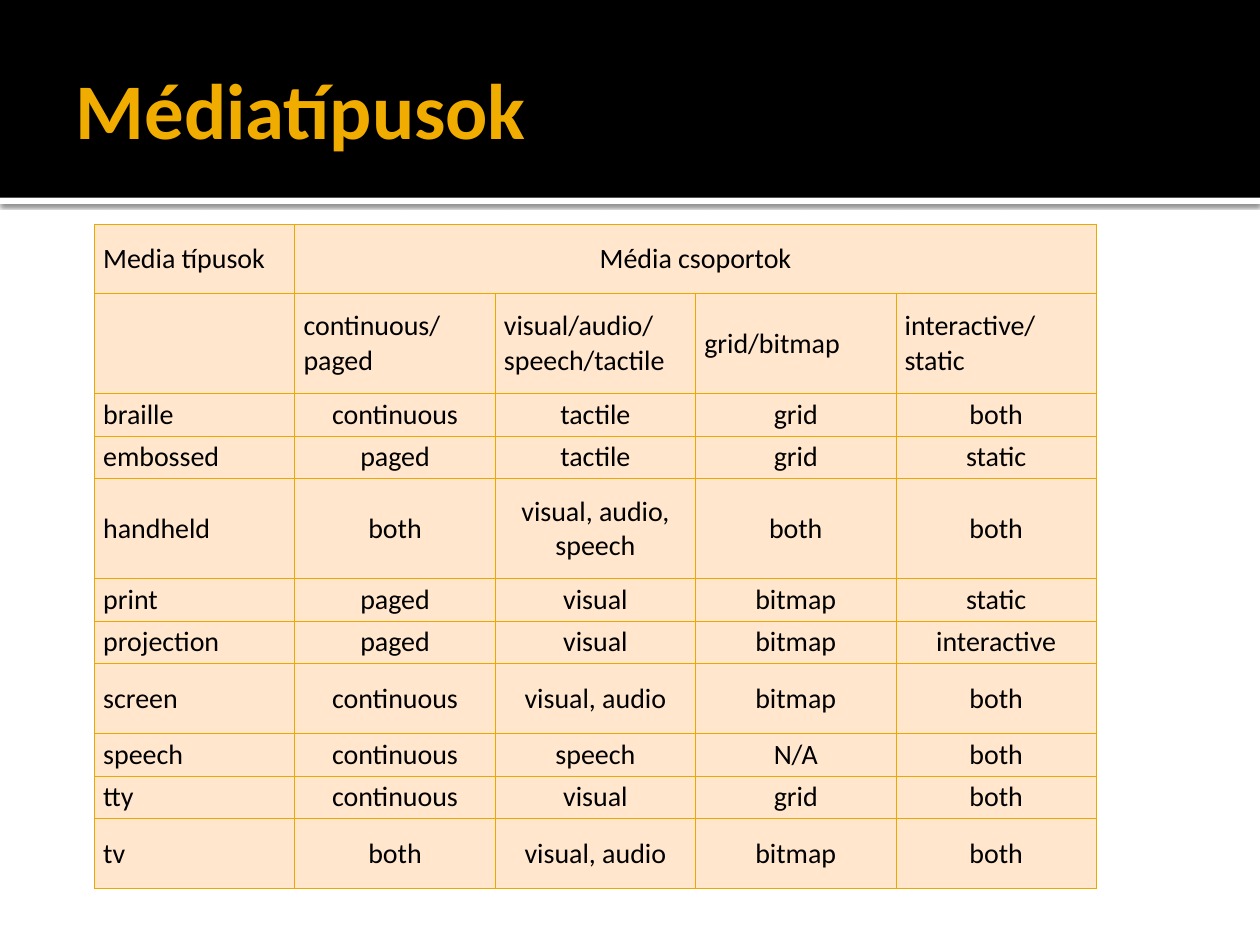
from dataclasses import dataclass

from lxml.etree import SubElement
from pptx import Presentation
from pptx.dml.color import RGBColor
from pptx.enum.shapes import MSO_SHAPE
from pptx.enum.text import MSO_ANCHOR, PP_ALIGN
from pptx.oxml import parse_xml
from pptx.oxml.ns import nsdecls, qn
from pptx.util import Pt

COLORS = {
    "header": "000000",
    "rule": "FFFFFF",
    "title": "F0AD00",
    "text": "000000",
    "cell": "FFE6CC",
    "border": "EBA900",
}
FONT = "Calibri"
SHORT, MEDIUM, TALL = 24.4, 39.8, 57
COLUMN_WIDTH = 114.5


@dataclass
class Band:
    top: float
    height: float
    color: str
    shadowed: bool = False


@dataclass
class MediaRow:
    height: float
    values: tuple[str, ...]
    centered_from: int = 1


BANDS = [
    Band(113, 3.6, "rule", shadowed=True),
    Band(0, 113, "header"),
]
MEDIA_ROWS = [
    MediaRow(MEDIUM, ("Media típusok", "Média csoportok", "", "", "")),
    MediaRow(TALL, ("", "continuous/\vpaged", "visual/audio/speech/tactile",
                    "grid/bitmap", "interactive/\vstatic"), centered_from=5),
    MediaRow(SHORT, ("braille", "continuous", "tactile", "grid", "both")),
    MediaRow(SHORT, ("embossed", "paged", "tactile", "grid", "static")),
    MediaRow(TALL, ("handheld", "both", "visual, audio, speech", "both", "both")),
    MediaRow(SHORT, ("print", "paged", "visual", "bitmap", "static")),
    MediaRow(SHORT, ("projection", "paged", "visual", "bitmap", "interactive")),
    MediaRow(MEDIUM, ("screen", "continuous", "visual, audio", "bitmap", "both")),
    MediaRow(SHORT, ("speech", "continuous", "speech", "N/A", "both")),
    MediaRow(SHORT, ("tty", "continuous", "visual", "grid", "both")),
    MediaRow(MEDIUM, ("tv", "both", "visual, audio", "bitmap", "both")),
]


def rgb(name: str) -> RGBColor:
    return RGBColor.from_string(COLORS[name])


def draw_band(slide, band: Band) -> None:
    strip = slide.shapes.add_shape(
        MSO_SHAPE.RECTANGLE, Pt(0), Pt(band.top), Pt(720), Pt(band.height))
    strip.shadow.inherit = False
    strip.fill.solid()
    strip.fill.fore_color.rgb = rgb(band.color)
    strip.line.fill.background()
    if band.shadowed:
        effects = strip._element.spPr.find(qn("a:effectLst"))
        effects.append(parse_xml(
            f'<a:outerShdw {nsdecls("a")} blurRad="{Pt(2.5)}" dist="{Pt(0.8)}" '
            'dir="5400000" algn="tl" rotWithShape="0">'
            '<a:srgbClr val="000000"><a:alpha val="60000"/></a:srgbClr>'
            '</a:outerShdw>'))


def draw_title(slide, wording: str) -> None:
    title = slide.shapes.title
    title.left, title.top, title.width, title.height = Pt(36), Pt(12), Pt(648), Pt(99)
    frame = title.text_frame
    frame.text = wording
    frame.word_wrap = True
    frame.vertical_anchor = MSO_ANCHOR.MIDDLE
    frame.margin_left = Pt(7.2)
    frame.margin_right = frame.margin_top = frame.margin_bottom = Pt(3.6)
    paragraph = frame.paragraphs[0]
    paragraph.alignment = PP_ALIGN.LEFT
    font = paragraph.runs[0].font
    font.name, font.size, font.bold = FONT, Pt(45), True
    font.color.rgb = rgb("title")
    slide.shapes._spTree.append(title._element)


def draw_borders(cell) -> None:
    properties = cell._tc.get_or_add_tcPr()
    for position, side in enumerate(("lnL", "lnR", "lnT", "lnB")):
        border = SubElement(properties, qn(f"a:{side}"), w=str(Pt(0.5)))
        fill = SubElement(border, qn("a:solidFill"))
        SubElement(fill, qn("a:srgbClr"), val=COLORS["border"])
        properties.insert(position, border)


def fill_cell(cell, wording: str, alignment: PP_ALIGN) -> None:
    cell.fill.solid()
    cell.fill.fore_color.rgb = rgb("cell")
    draw_borders(cell)
    cell.vertical_anchor = MSO_ANCHOR.MIDDLE
    cell.margin_left = cell.margin_right = Pt(5)
    cell.margin_top = cell.margin_bottom = Pt(2.4)
    cell.text_frame.text = wording
    paragraph = cell.text_frame.paragraphs[0]
    paragraph.alignment = alignment
    paragraph.font.size = Pt(16)
    for run in paragraph.runs:
        run.font.name, run.font.size = FONT, Pt(16)
        run.font.color.rgb = rgb("text")


def draw_media_table(slide, media_rows: list[MediaRow]) -> None:
    column_count = len(media_rows[0].values)
    table = slide.shapes.add_table(
        len(media_rows), column_count, Pt(54), Pt(128),
        Pt(COLUMN_WIDTH * column_count),
        Pt(sum(row.height for row in media_rows))).table
    for column in table.columns:
        column.width = Pt(COLUMN_WIDTH)
    table.first_row = table.horz_banding = False
    for row_index, media_row in enumerate(media_rows):
        table.rows[row_index].height = Pt(media_row.height)
        for column_index, wording in enumerate(media_row.values):
            centered = column_index >= media_row.centered_from
            fill_cell(table.cell(row_index, column_index), wording,
                      PP_ALIGN.CENTER if centered else PP_ALIGN.LEFT)
    table.cell(0, 1).merge(table.cell(0, column_count - 1))


def main() -> None:
    presentation = Presentation()
    presentation.slide_width, presentation.slide_height = Pt(720), Pt(540)
    slide = presentation.slides.add_slide(presentation.slide_layouts[5])
    for band in BANDS:
        draw_band(slide, band)
    draw_title(slide, "Médiatípusok")
    draw_media_table(slide, MEDIA_ROWS)
    presentation.save("out.pptx")


if __name__ == "__main__":
    main()
